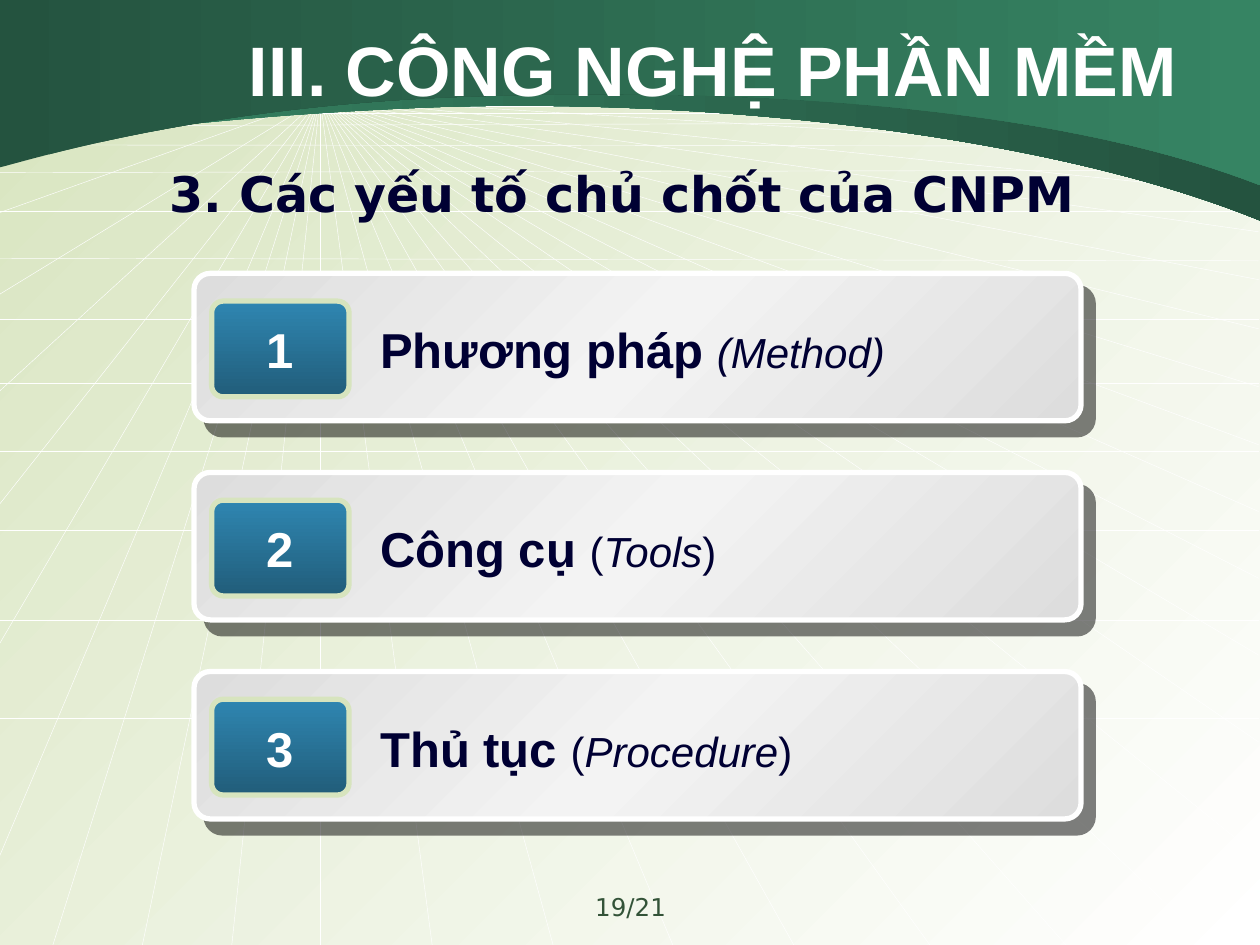
from copy import deepcopy

from lxml.etree import SubElement
from pptx import Presentation
from pptx.dml.color import RGBColor
from pptx.enum.shapes import MSO_CONNECTOR, MSO_SHAPE
from pptx.enum.text import MSO_ANCHOR, PP_ALIGN
from pptx.oxml.ns import qn
from pptx.util import Inches, Pt

WHITE = RGBColor(0xFF, 0xFF, 0xFF)
PALE_GREEN = RGBColor(0xD7, 0xE4, 0xBE)
DARK_GREEN = RGBColor(0x24, 0x53, 0x3F)
LIGHT_GREEN = RGBColor(0x36, 0x84, 0x63)
NAVY = RGBColor(0x00, 0x00, 0x33)
FOOTER_GREEN = RGBColor(0x33, 0x53, 0x38)
GREY = RGBColor(0xDD, 0xDD, 0xDD)
LIGHT_GREY = RGBColor(0xF3, 0xF3, 0xF3)
BLUE = RGBColor(0x2F, 0x86, 0xB1)
DARK_BLUE = RGBColor(0x21, 0x5D, 0x7A)

WIDTH, HEIGHT = 10, 7.5
GRID_LEFT, GRID_RIGHT = -0.01, 9.99
VANISHING_POINT = (2.54, 0.78)
RAY_BOTTOMS = (0.42, 1.13, 1.84, 2.54, 3.43, 4.39, 5.34, 6.3, 7.38, 8.46, 9.6)
RAY_RIGHTS = (1, 1.23, 1.54, 1.84, 2.22, 2.61, 3.07, 3.53, 4.06, 4.59, 5.2, 5.89, 6.8)
RAY_LEFTS = (0.78, 0.97, 1.16, 1.69, 2.34, 3.11, 4.01, 5.12, 6.81)
HORIZONS = ((0.84, 0.84), (0.9, 0.9), (1, 0.97), (1.15, 1.16), (1.37, 1.35),
            (1.68, 1.68), (2.05, 2.07), (2.53, 2.53), (3.04, 3.04), (3.58, 3.58),
            (4.21, 4.21), (4.92, 4.92), (5.7, 5.7))

LOWER_WAVE = ((-0.01, 1.19), (0.11, 1.18), (1.33, 0.93), (3.47, 0.85),
              (5.61, 0.78), (8.31, 1.06), (10, 1.75))
UPPER_WAVE = ((-0.01, 1.33), (0.11, 1.31), (1.51, 0.85), (3.64, 0.77),
              (5.77, 0.69), (8.31, 0.81), (10, 1.47))

CARD_TEXTS = (
    (("Phương pháp ", 28, True, False), ("(Method)", 24, False, True)),
    (("Công cụ ", 28, True, False), ("(", 24, False, False),
     ("Tools", 24, False, True), (")", 24, False, False)),
    (("Thủ tục ", 28, True, False), ("(", 24, False, False),
     ("Procedure", 24, False, True), (")", 24, False, False)),
)


def paint_gradient(fill, element, colors, angle):
    """Fill with evenly spaced colours at a counter-clockwise angle."""
    fill.gradient()
    stop_list = element.find(".//" + qn("a:gsLst"))
    for _ in colors[2:]:
        stop_list.append(deepcopy(stop_list[0]))
    for index, (stop, color) in enumerate(zip(fill.gradient_stops, colors)):
        stop.color.rgb = color
        stop.position = index / (len(colors) - 1)
    fill.gradient_angle = angle


def add_run(paragraph, text, size, color, bold=False, italic=False, font="Arial"):
    """Append one formatted run."""
    run = paragraph.add_run()
    run.text = text
    run.font.name = font
    run.font.size = Pt(size)
    run.font.bold = bold
    run.font.italic = italic
    run.font.color.rgb = color


def add_text_box(slide, left, top, width, height, align=PP_ALIGN.LEFT):
    """Add a wrapping text box and return its paragraph."""
    box = slide.shapes.add_textbox(Inches(left), Inches(top), Inches(width), Inches(height))
    box.text_frame.word_wrap = True
    paragraph = box.text_frame.paragraphs[0]
    paragraph.alignment = align
    return paragraph


def move_to_master(slide, shape):
    """Hand a decoration over to the slide master."""
    master = slide.slide_layout.slide_master
    master.shapes._spTree.append(shape._element)


def add_grid_line(slide, start, end):
    """Draw one hairline of the perspective grid."""
    line = slide.shapes.add_connector(
        MSO_CONNECTOR.STRAIGHT, *(Inches(value) for value in (*start, *end)))
    line.line.color.rgb = WHITE
    line.line.width = Pt(0.25)
    SubElement(line._element.spPr, qn("a:effectLst"))
    move_to_master(slide, line)


def add_grid(slide):
    """Draw the rays from the vanishing point and the horizontals."""
    ends = [(x, HEIGHT) for x in RAY_BOTTOMS]
    ends += [(GRID_RIGHT, y) for y in RAY_RIGHTS]
    ends += [(GRID_LEFT, y) for y in RAY_LEFTS]
    for end in ends:
        add_grid_line(slide, VANISHING_POINT, end)
    for left_y, right_y in HORIZONS:
        add_grid_line(slide, (GRID_LEFT, left_y), (GRID_RIGHT, right_y))


def add_wave(slide, edge, colors):
    """Add a header band whose lower edge is two joined Bezier curves."""
    builder = slide.shapes.build_freeform(Inches(edge[0][0]), 0)
    corners = [*edge, (WIDTH, 0)]
    builder.add_line_segments([(Inches(x), Inches(y)) for x, y in corners], close=True)
    wave = builder.convert_to_shape()
    segments = wave._element.findall(".//" + qn("a:lnTo"))
    for first in (1, 4):
        controls = segments[first:first + 3]
        curve = controls[0].makeelement(qn("a:cubicBezTo"))
        controls[0].addprevious(curve)
        for segment in controls:
            curve.append(segment[0])
            segment.getparent().remove(segment)
    wave.shadow.inherit = False
    paint_gradient(wave.fill, wave._element.spPr, colors, 0)
    wave.line.fill.background()
    move_to_master(slide, wave)


def add_title(slide, left, top, width, height):
    """Place and format the title."""
    title = slide.shapes.title
    title.left, title.top = Inches(left), Inches(top)
    title.width, title.height = Inches(width), Inches(height)
    title.text_frame.vertical_anchor = MSO_ANCHOR.MIDDLE
    paragraph = title.text_frame.paragraphs[0]
    paragraph.alignment = PP_ALIGN.CENTER
    add_run(paragraph, "III. CÔNG NGHỆ PHẦN MỀM", 40, WHITE, bold=True)


def add_panel(slide, left, top, width, height, radius, colors, angle, border):
    """Add a rounded gradient panel with a thick border."""
    panel = slide.shapes.add_shape(
        MSO_SHAPE.ROUNDED_RECTANGLE,
        Inches(left), Inches(top), Inches(width), Inches(height))
    panel.adjustments[0] = radius
    panel.shadow.inherit = False
    paint_gradient(panel.fill, panel._element.spPr, colors, angle)
    panel.line.color.rgb = border
    panel.line.width = Pt(3)
    return panel


def add_drop_shadow(shape):
    """Give a shape a hard, half-transparent shadow."""
    effects = shape._element.spPr.find(qn("a:effectLst"))
    shadow = SubElement(effects, qn("a:outerShdw"), blurRad="0", dist=str(Pt(10.6)),
                        dir=str(49 * 60000), algn="ctr", rotWithShape="0")
    color = SubElement(shadow, qn("a:srgbClr"), val="000000")
    SubElement(color, qn("a:alpha"), val="50000")


def add_card(slide, left, top, width, height, number, runs):
    """Add a numbered card with its label."""
    card = add_panel(slide, left, top, width, height, 0.11,
                     (GREY, LIGHT_GREY, GREY), 315, WHITE)
    add_drop_shadow(card)
    add_panel(slide, left + 0.14, top + 0.22, 1.09, 0.76, 0.12,
              (BLUE, DARK_BLUE), 270, PALE_GREEN)
    badge = add_text_box(slide, left + 0.44, top + 0.32, 0.48, 0.57, PP_ALIGN.CENTER)
    add_run(badge, str(number), 28, WHITE, bold=True)
    label = add_text_box(slide, left + 1.38, top + 0.32, width - 1.86, 0.57)
    for text, size, bold, italic in runs:
        add_run(label, text, size, NAVY, bold, italic)


def add_backdrop(slide):
    """Put the background, grid and header bands on the master."""
    master = slide.slide_layout.slide_master
    paint_gradient(master.background.fill, master._element, (PALE_GREEN, WHITE), 315)
    add_grid(slide)
    add_wave(slide, LOWER_WAVE, (LIGHT_GREEN, DARK_GREEN))
    add_wave(slide, UPPER_WAVE, (DARK_GREEN, LIGHT_GREEN))


def main():
    """Build and save the slide."""
    presentation = Presentation()
    presentation.slide_width, presentation.slide_height = Inches(WIDTH), Inches(HEIGHT)
    slide = presentation.slides.add_slide(presentation.slide_layouts[5])
    add_backdrop(slide)
    add_title(slide, 1.62, 0.23, 8.08, 0.62)
    subtitle = add_text_box(slide, 1.25, 1.25, 7.5, 0.78)
    subtitle.space_before = Pt(5.6)
    add_run(subtitle, "3. Các yếu tố chủ chốt của CNPM", 28, NAVY, bold=True, font="DejaVu Sans")
    for index, runs in enumerate(CARD_TEXTS):
        add_card(slide, 1.54, 2.17 + 1.58 * index, 7.04, 1.17, index + 1, runs)
    footer = add_text_box(slide, 3.42, 7.03, 3.17, 0.35, PP_ALIGN.CENTER)
    add_run(footer, "19/21", 14, FOOTER_GREEN, font="DejaVu Sans")
    presentation.save("out.pptx")


if __name__ == "__main__":
    main()
